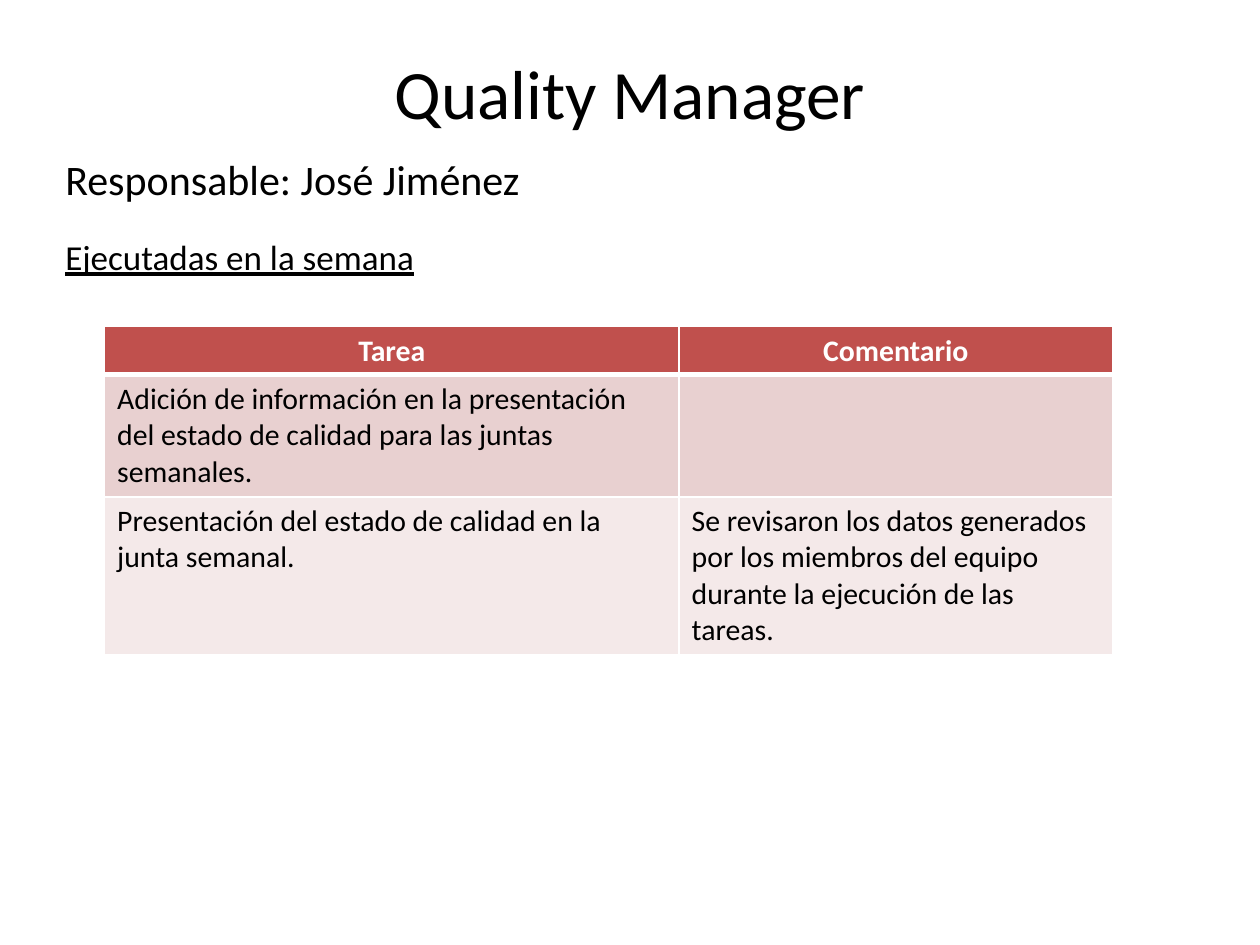
from dataclasses import dataclass

from lxml import etree
from pptx import Presentation
from pptx.dml.color import RGBColor
from pptx.enum.text import MSO_ANCHOR, MSO_AUTO_SIZE, PP_ALIGN
from pptx.oxml.ns import qn
from pptx.util import Inches, Pt

CENTER, LEFT = PP_ALIGN.CENTER, PP_ALIGN.LEFT
MIDDLE, TOP = MSO_ANCHOR.MIDDLE, MSO_ANCHOR.TOP
NO_AUTOFIT = MSO_AUTO_SIZE.NONE
TITLE_ONLY = 5


@dataclass(frozen=True)
class Theme:
    font: str = "Calibri"
    ink: str = "000000"
    white: str = "FFFFFF"
    header: str = "C0504D"
    bands: tuple = ("E8D0D0", "F4E9E9")
    title_size: float = 39.6
    owner_size: float = 24
    section_size: float = 20
    table_size: float = 17


theme = Theme()


def style(paragraph, size, color=theme.ink, bold=False, align=LEFT):
    paragraph.alignment = align
    font = paragraph.font
    for target in [font] + [run.font for run in paragraph.runs]:
        target.name, target.size, target.bold = theme.font, Pt(size), bold
        target.color.rgb = RGBColor.from_string(color)


def add_border(cell, side, width):
    line = etree.SubElement(cell._tc.get_or_add_tcPr(), qn(f"a:ln{side}"), w=str(Pt(width)))
    fill = etree.SubElement(line, qn("a:solidFill"))
    etree.SubElement(fill, qn("a:srgbClr"), val=theme.white)


prs = Presentation()
prs.slide_width, prs.slide_height = Inches(10), Inches(7.5)
slide = prs.slides.add_slide(prs.slide_layouts[TITLE_ONLY])

# Title
title = slide.shapes.title
title.left, title.top, title.width, title.height = map(Inches, (0.5, 0.38, 9, 0.7))
title.text_frame.text = "Quality Manager"
title.text_frame.auto_size = NO_AUTOFIT
title.text_frame.vertical_anchor = MIDDLE
style(title.text_frame.paragraphs[0], theme.title_size, align=CENTER)

# Owner and section heading
intro = slide.shapes.add_textbox(*map(Inches, (0.42, 1.17, 9.33, 1.25))).text_frame
intro.word_wrap = True
intro.text = "Responsable: José Jiménez"
style(intro.paragraphs[0], theme.owner_size)
section = intro.add_paragraph()
section.text = "Ejecutadas en la semana"
section.space_before = Pt(18)
style(section, theme.section_size)
section.runs[0].font.underline = True

# Task table
tasks = [
    ("Tarea", "Comentario"),
    ("Adición de información en la presentación del estado de calidad "
     "para las juntas semanales.", ""),
    ("Presentación del estado de calidad en la junta semanal.",
     "Se revisaron los datos generados por los miembros del equipo "
     "durante la ejecución de las tareas."),
]
column_widths = (4.56, 3.44)
row_heights = (0.38, 0.97, 1.25)
table = slide.shapes.add_table(
    len(tasks), len(column_widths), Inches(0.83), Inches(2.59),
    Inches(sum(column_widths)), Inches(sum(row_heights))).table
for column, width in zip(table.columns, column_widths):
    column.width = Inches(width)

for r, (task, height) in enumerate(zip(tasks, row_heights)):
    is_header = r == 0
    table.rows[r].height = Inches(height)
    for c, text in enumerate(task):
        cell = table.cell(r, c)
        cell.text_frame.text = text
        cell.vertical_anchor = TOP
        style(cell.text_frame.paragraphs[0], theme.table_size,
              color=theme.white if is_header else theme.ink,
              bold=is_header, align=CENTER if is_header else LEFT)
        # The rule between header and body is heavier
        for side in "LRTB":
            heavy = (r, side) in ((0, "B"), (1, "T"))
            add_border(cell, side, 3 if heavy else 1)
        cell.fill.solid()
        cell.fill.fore_color.rgb = RGBColor.from_string(
            theme.header if is_header else theme.bands[(r - 1) % 2])

prs.save("out.pptx")
